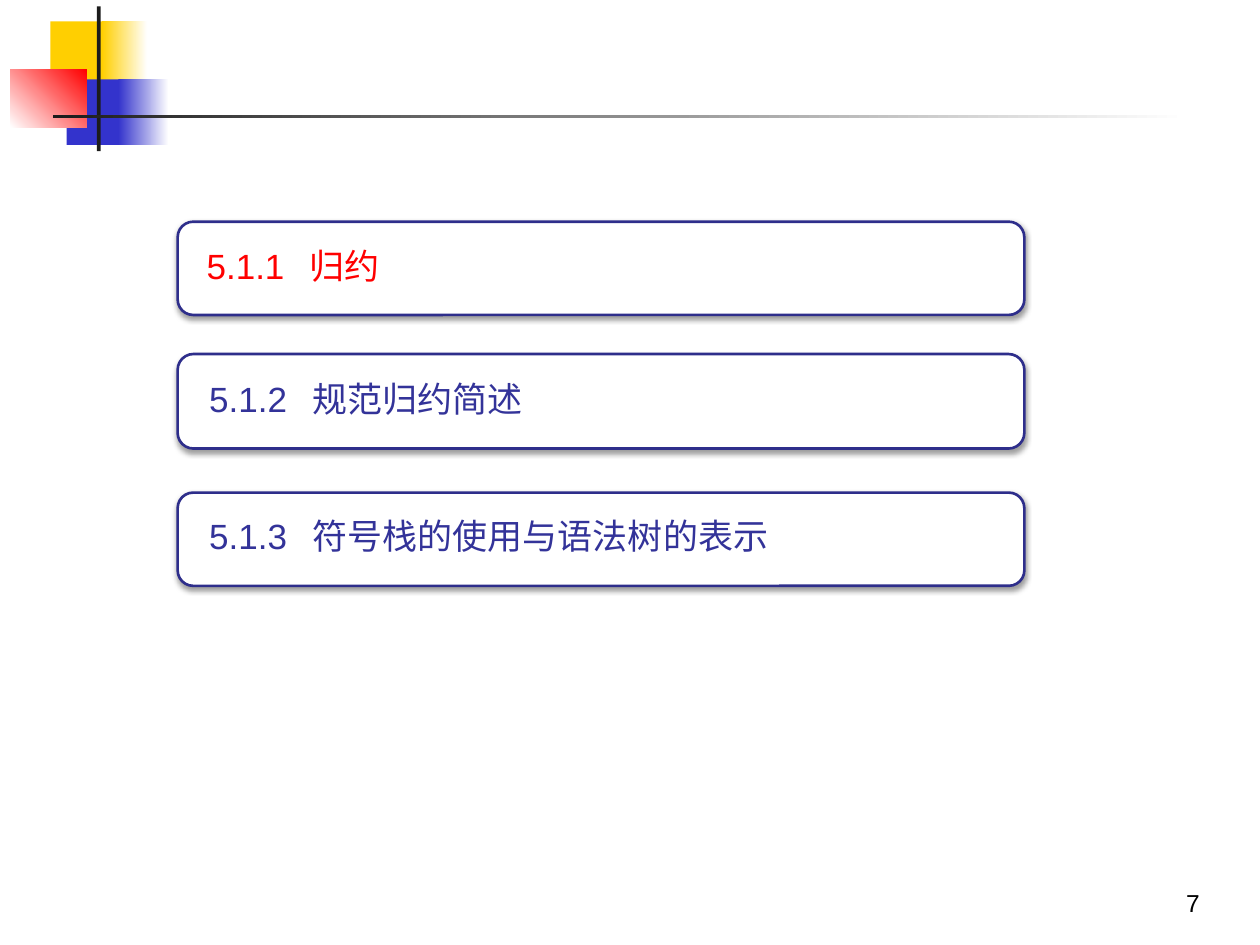
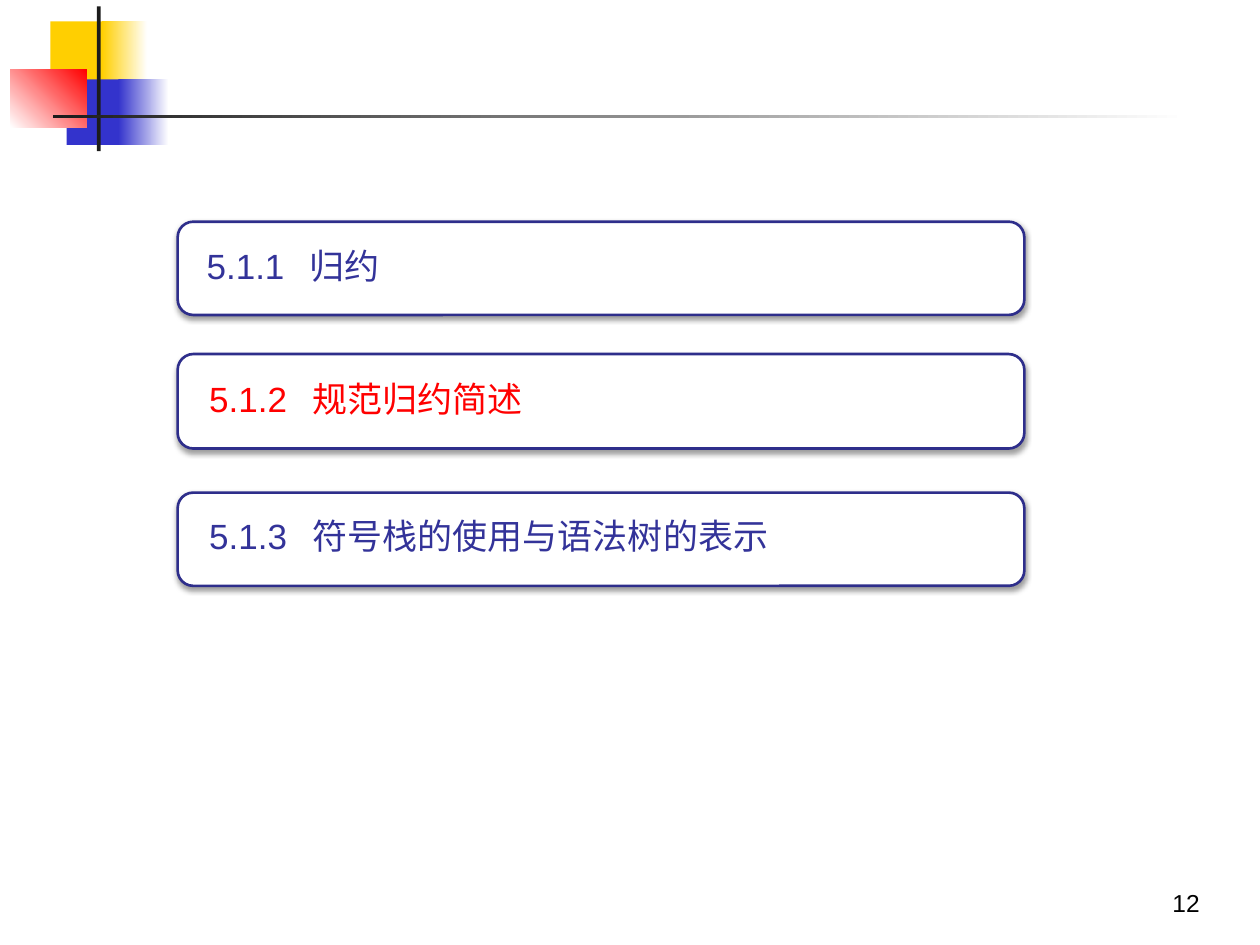
from lxml.etree import SubElement
from pptx import Presentation
from pptx.dml.color import RGBColor
from pptx.enum.shapes import MSO_SHAPE
from pptx.enum.text import MSO_ANCHOR, PP_ALIGN
from pptx.oxml.ns import qn
from pptx.util import Inches, Pt

FONT = "Arial"
WHITE, BLACK, CHARCOAL = "FFFFFF", "000000", "1C1C1C"
YELLOW, BLUE, RED = "FFCF01", "3333CC", "FF0000"
INDIGO, BORDER = "333399", "2E2E8B"

DECORATION = [
    ((0.4, 0.17, 0.48, 0.52), [YELLOW], 0),
    ((0.81, 0.17, 0.36, 0.52), [YELLOW, WHITE], 0),
    ((0.53, 0.63, 0.46, 0.52), [BLUE], 0),
    ((0.94, 0.63, 0.4, 0.52), [BLUE, WHITE], 0),
    ((0.08, 0.55, 0.61, 0.46), [WHITE, RED], 45),
    ((0.77, 0.05, 0.03, 1.15), [CHARCOAL], 0),
    ((0.42, 0.91, 9, 0.03), [CHARCOAL, WHITE], 0),
]

SECTIONS = [
    ("5.1.1", "归约", 1.76, 0.74, 0.03),
    ("5.1.2", "规范归约简述", 2.81, 0.75, 0.05),
    ("5.1.3", "符号栈的使用与语法树的表示", 3.91, 0.74, 0.05),
]
CARD_LEFT, CARD_WIDTH = 1.41, 6.72
TITLE_TAB = 0.82


def color(value):
    return RGBColor.from_string(value)


def inches(box):
    return [Inches(length) for length in box]


def add_block(shapes, kind, box):
    block = shapes.add_shape(kind, *inches(box))
    block.shadow.inherit = False
    block.line.fill.background()
    return block


def fill_block(block, colors, angle=0):
    if len(colors) == 1:
        block.fill.solid()
        block.fill.fore_color.rgb = color(colors[0])
        return
    block.fill.gradient()
    block.fill.gradient_angle = angle
    for stop, value in zip(block.fill.gradient_stops, colors):
        stop.color.rgb = color(value)


def decorate_layout(layout, slide):
    for box, colors, angle in DECORATION:
        block = add_block(slide.shapes, MSO_SHAPE.RECTANGLE, box)
        fill_block(block, colors, angle)
        layout.shapes.element.append(block.element)


def add_card_shadow(card):
    effects = card.element.spPr.find(qn("a:effectLst"))
    shadow = SubElement(
        effects, qn("a:outerShdw"), blurRad=str(Pt(3.1)), dist=str(Pt(1.6)),
        dir="5400000", algn="ctr", rotWithShape="0",
    )
    tint = SubElement(shadow, qn("a:srgbClr"), val=BLACK)
    SubElement(tint, qn("a:alpha"), val="38000")


def add_text(shapes, box, words, size, value, anchor):
    label = shapes.add_textbox(*inches(box))
    frame = label.text_frame
    frame.word_wrap = True
    frame.vertical_anchor = anchor
    run = frame.paragraphs[0].add_run()
    run.text = words
    run.font.name = FONT
    run.font.size = Pt(size)
    run.font.color.rgb = color(value)
    return frame


def add_section(slide, section, value):
    number, title, top, height, inset = section
    shapes = slide.shapes.add_group_shape().shapes
    card = add_block(shapes, MSO_SHAPE.ROUNDED_RECTANGLE,
                     (CARD_LEFT, top, CARD_WIDTH, height))
    fill_block(card, [WHITE])
    card.line.color.rgb = color(BORDER)
    card.line.width = Pt(1.5)
    add_card_shadow(card)

    box = (CARD_LEFT + inset, top + 0.03, CARD_WIDTH - 2 * inset, height - 0.07)
    frame = add_text(shapes, box, f"{number}\t{title}", 20, value, MSO_ANCHOR.MIDDLE)
    frame.margin_left = frame.margin_right = Inches(0.2)
    frame.margin_top = frame.margin_bottom = 0
    paragraph = frame.paragraphs[0]
    paragraph.line_spacing = 0.9
    tabs = SubElement(paragraph._p.get_or_add_pPr(), qn("a:tabLst"))
    SubElement(tabs, qn("a:tab"), pos=str(Inches(TITLE_TAB)), algn="l")


def add_page_number(slide, page):
    frame = add_text(slide.shapes, (7.54, 6.83, 2.08, 0.5), str(page), 14, BLACK,
                     MSO_ANCHOR.BOTTOM)
    frame.paragraphs[0].alignment = PP_ALIGN.RIGHT


def add_outline(slide, page, current):
    add_page_number(slide, page)
    for section in SECTIONS:
        add_section(slide, section, RED if section[0] == current else INDIGO)


def main():
    deck = Presentation()
    deck.slide_width, deck.slide_height = Inches(10), Inches(7.5)
    blank = deck.slide_layouts[6]
    outlines = [(7, "5.1.1"), (12, "5.1.2")]
    for page, current in outlines:
        add_outline(deck.slides.add_slide(blank), page, current)
    decorate_layout(blank, deck.slides[0])
    deck.save("out.pptx")


if __name__ == "__main__":
    main()
